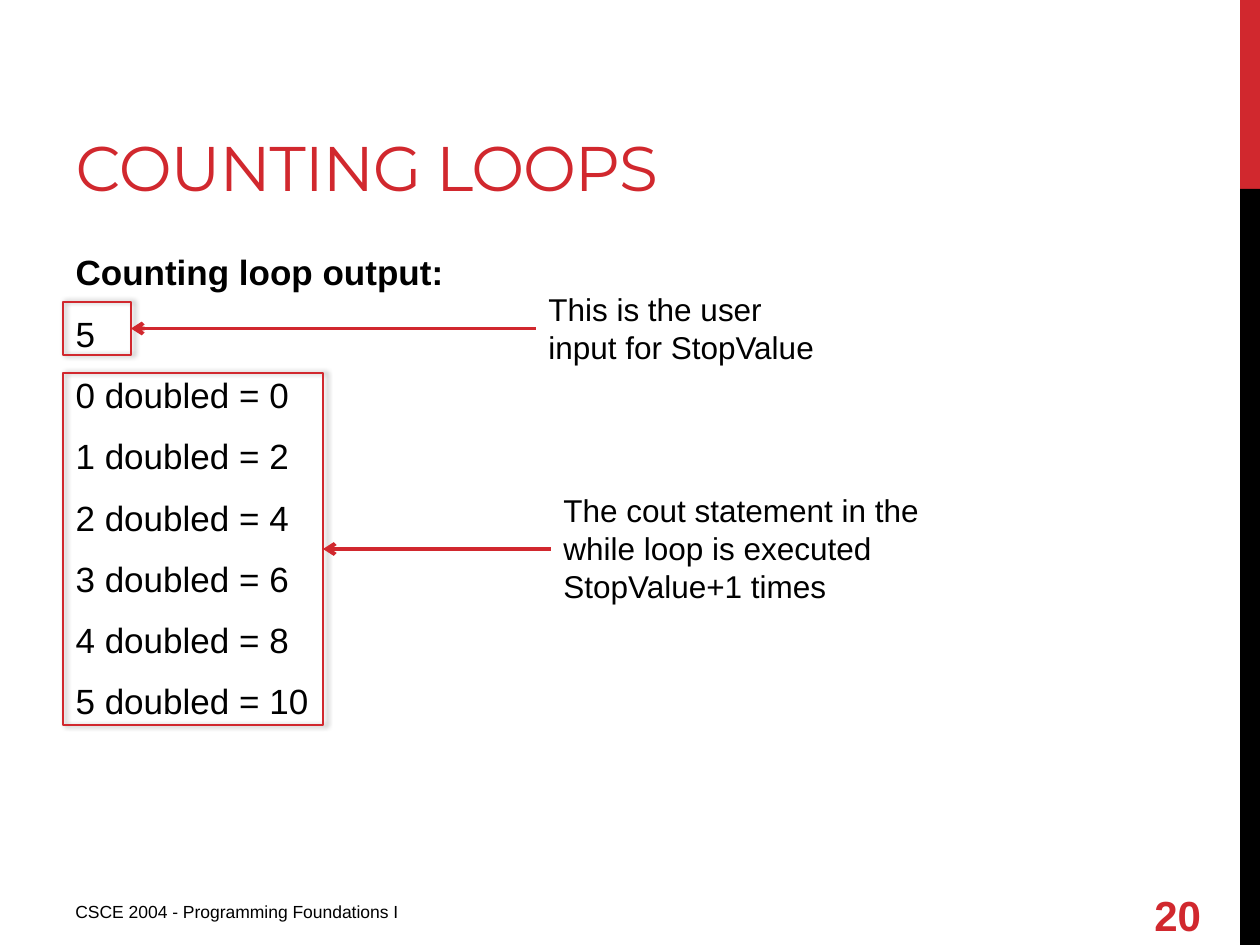
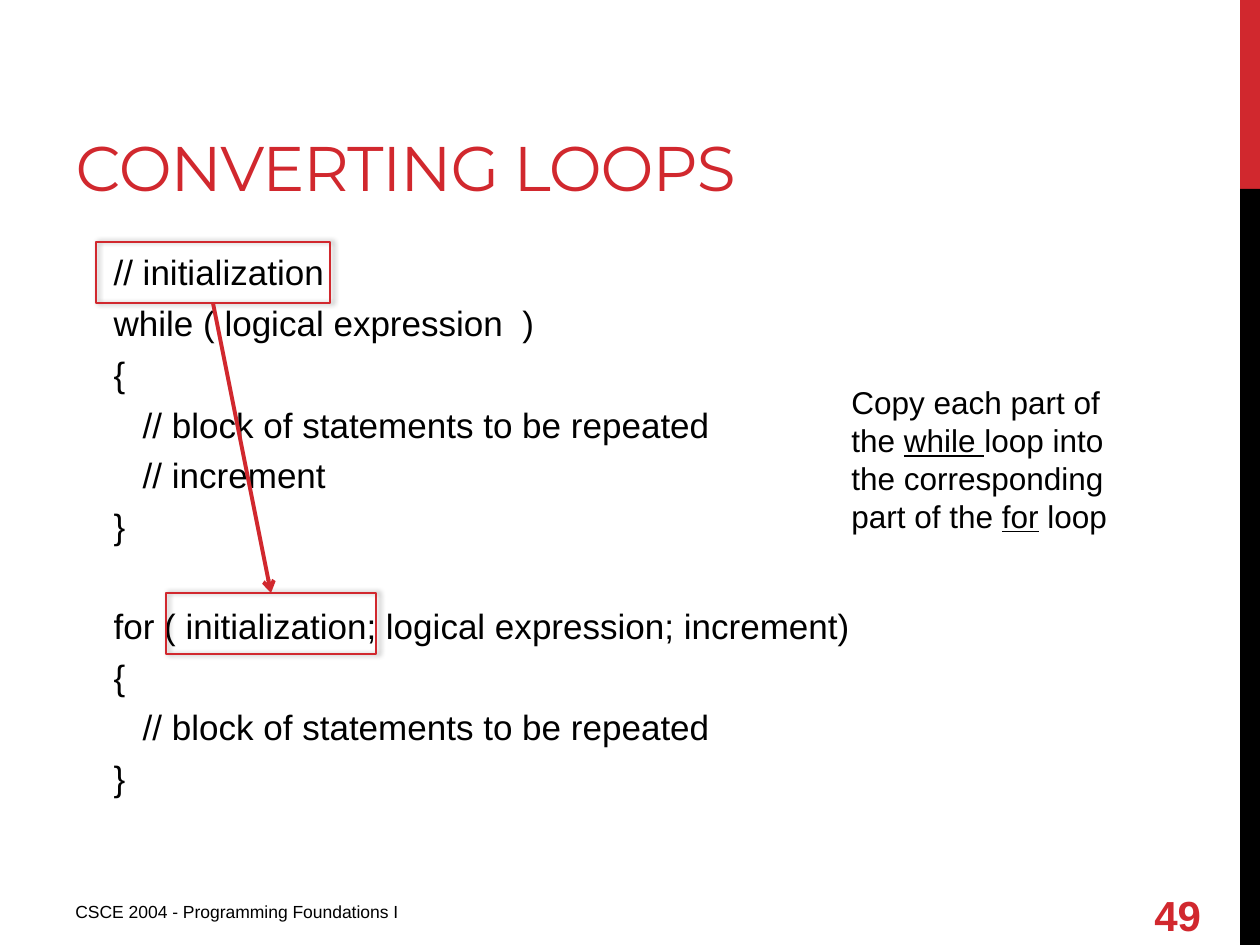
from pptx import Presentation
from pptx.dml.color import RGBColor
from pptx.enum.shapes import MSO_CONNECTOR, MSO_SHAPE
from pptx.enum.text import MSO_ANCHOR, MSO_AUTO_SIZE, PP_ALIGN
from pptx.oxml import parse_xml
from pptx.oxml.ns import nsdecls
from pptx.util import Pt

RECTANGLE = MSO_SHAPE.RECTANGLE
STRAIGHT = MSO_CONNECTOR.STRAIGHT
TOP, MIDDLE, BOTTOM = MSO_ANCHOR.TOP, MSO_ANCHOR.MIDDLE, MSO_ANCHOR.BOTTOM
LEFT = PP_ALIGN.LEFT
NO_FIT, GROW = MSO_AUTO_SIZE.NONE, MSO_AUTO_SIZE.SHAPE_TO_FIT_TEXT

RED, BLACK = "D1282E", "000000"
TEXT_FONT, TITLE_FONT = "Arial", "Montserrat"
EMU_PER_PX = 914400 / 126
SLIDE_WIDTH, SLIDE_HEIGHT = 1260, 945
FOOTER = "CSCE 2004 - Programming Foundations I"

# Boxes are left, top, width, height in px
TITLE_BOX = (63, 21, 798, 189)
BODY_BOX = (63, 242, 1050, 602)
FOOTER_BOX = (63, 895, 472, 39)
NUMBER_BOX = (1142, 890, 93, 50)
BAND_BOX = (1240, 0, 20, SLIDE_HEIGHT)
BAND_SPLIT = 189

LINE_GAP = 5      # points before each body line
BLANK_LINE = 28   # points taken by one skipped code line

OUTPUT_LINES = ["Counting loop output:", "5"] + [
    f"{count} doubled = {2 * count}" for count in range(6)]
WHILE_LOOP = [
    "// initialization",
    "while ( logical expression  )",
    "{",
    "   // block of statements to be repeated",
    "   // increment",
    "}",
]
FOR_LOOP = [
    "for ( initialization; logical expression; increment)",
    "{",
    "   // block of statements to be repeated",
    "}",
]


def px(length):
    return round(length * EMU_PER_PX)


def color(hex_string):
    return RGBColor.from_string(hex_string)


def place(shape, box):
    shape.left, shape.top, shape.width, shape.height = map(px, box)


def add_run(paragraph, text, size, hex_string=BLACK, name=TEXT_FONT,
            bold=False, underline=False):
    run = paragraph.add_run()
    run.text = text
    font = run.font
    font.size, font.name, font.bold = Pt(size), name, bold
    font.underline = underline
    font.color.rgb = color(hex_string)
    return run


def add_text(slide, box, pieces, size, hex_string=BLACK, bold=False,
             anchor=TOP, fit=NO_FIT):
    """Text box of one paragraph; pieces are (text, underlined) pairs."""
    text_box = slide.shapes.add_textbox(*map(px, box))
    frame = text_box.text_frame
    frame.word_wrap, frame.auto_size = True, fit
    frame.vertical_anchor = anchor
    for text, underline in pieces:
        add_run(frame.paragraphs[0], text, size, hex_string,
                bold=bold, underline=underline)


def add_bands(slide, layout, box):
    """Side bands, moved to the layout so that every slide shows them."""
    left, top, width, height = box
    for offset, length, fill in ((0, BAND_SPLIT, RED),
                                 (BAND_SPLIT, height - BAND_SPLIT, BLACK)):
        band = slide.shapes.add_shape(
            RECTANGLE, *map(px, (left, top + offset, width, length)))
        band.shadow.inherit = False
        band.fill.solid()
        band.fill.fore_color.rgb = color(fill)
        band.line.fill.background()
        layout.shapes.element.append(band.element)


def add_title(slide, box, text):
    title = slide.shapes.title
    place(title, box)
    frame = title.text_frame
    frame.auto_size, frame.vertical_anchor = NO_FIT, BOTTOM
    paragraph = frame.paragraphs[0]
    paragraph.alignment = LEFT
    run = add_run(paragraph, text, 36, RED, TITLE_FONT)
    run.font._element.set("spc", "-60")


def add_body_line(frame, text, first=False, before=LINE_GAP, after=0,
                  indent=0, level=0, bold=False):
    paragraph = frame.paragraphs[0] if first else frame.add_paragraph()
    properties = paragraph._p.get_or_add_pPr()
    properties.set("marL", str(px(indent)))
    properties.set("indent", "0")
    properties.append(parse_xml(f"<a:buNone {nsdecls('a')}/>"))
    paragraph.level = level
    paragraph.space_before = Pt(0 if first else before)
    paragraph.space_after = Pt(after)
    add_run(paragraph, text, 20, bold=bold)


def start_body(slide, box):
    body = slide.placeholders[1]
    place(body, box)
    frame = body.text_frame
    frame.auto_size, frame.vertical_anchor = NO_FIT, TOP
    frame.margin_top = px(9)
    return frame


def add_frame(slide, box):
    """Red outline with a soft shadow to its right."""
    outline = slide.shapes.add_shape(RECTANGLE, *map(px, box))
    outline.fill.background()
    outline.line.color.rgb = color(RED)
    outline.line.width = Pt(1)
    outline._element.spPr.append(parse_xml(
        f"<a:effectLst {nsdecls('a')}>"
        f'<a:outerShdw blurRad="{Pt(3.1)}" dist="{Pt(1.8)}" dir="0" rotWithShape="0">'
        f'<a:srgbClr val="{BLACK}"><a:alpha val="40000"/></a:srgbClr>'
        "</a:outerShdw></a:effectLst>"))


def add_arrow(slide, start, end):
    arrow = slide.shapes.add_connector(STRAIGHT, *map(px, start + end))
    arrow.line.color.rgb = color(RED)
    arrow.line.width = Pt(2.25)
    arrow.line._get_or_add_ln().append(
        parse_xml(f'<a:tailEnd {nsdecls("a")} type="arrow"/>'))
    arrow._element.spPr.append(parse_xml(f"<a:effectLst {nsdecls('a')}/>"))


def add_callout(slide, frame_box, note_box, note):
    """Framed output with an arrow from the note at its right."""
    left, top, width, height = frame_box
    middle = top + height / 2
    add_frame(slide, frame_box)
    add_arrow(slide, (note_box[0], middle), (left + width, middle))
    add_text(slide, note_box, [(note, False)], 18, fit=GROW)


def add_link(slide, upper_box, lower_box):
    """Two framed code parts, with an arrow from the upper to the lower."""
    add_frame(slide, upper_box)
    add_frame(slide, lower_box)
    left, top, width, height = upper_box
    add_arrow(slide, (left + width / 2, top + height),
              (lower_box[0] + lower_box[2] / 2, lower_box[1]))


def add_slide(presentation, layout, title, number):
    slide = presentation.slides.add_slide(layout)
    add_title(slide, TITLE_BOX, title)
    add_text(slide, FOOTER_BOX, [(FOOTER, False)], 10)
    add_text(slide, NUMBER_BOX, [(str(number), False)], 24, RED,
             bold=True, anchor=MIDDLE)
    return slide


def fill_counting_slide(slide):
    frame = start_body(slide, BODY_BOX)
    for index, line in enumerate(OUTPUT_LINES):
        heading = index == 0
        add_body_line(frame, line, first=heading, after=6, bold=heading)
    add_callout(slide, (63, 302, 68, 53), (536, 284, 304, 89),
                "This is the user input for StopValue")
    add_callout(slide, (63, 373, 260, 352), (551, 485, 425, 127),
                "The cout statement in the while loop is executed StopValue+1 times")


def fill_converting_slide(slide):
    frame = start_body(slide, BODY_BOX)
    for index, line in enumerate(WHILE_LOOP + FOR_LOOP):
        skipped = BLANK_LINE if index == len(WHILE_LOOP) else 0
        add_body_line(frame, line, first=index == 0, before=LINE_GAP + skipped,
                      indent=38, level=1)
    add_link(slide, (96, 242, 234, 61), (166, 593, 210, 61))
    add_text(slide, (839, 377, 304, 165), [
        ("Copy each part of the ", False),
        ("while ", True),
        ("loop into the corresponding part of the ", False),
        ("for", True),
        (" loop", False),
    ], 18, fit=GROW)


def main():
    presentation = Presentation()
    presentation.slide_width = px(SLIDE_WIDTH)
    presentation.slide_height = px(SLIDE_HEIGHT)
    layout = presentation.slide_layouts[1]

    counting = add_slide(presentation, layout, "COUNTING LOOPS", 20)
    add_bands(counting, layout, BAND_BOX)
    fill_counting_slide(counting)

    converting = add_slide(presentation, layout, "CONVERTING LOOPS", 49)
    fill_converting_slide(converting)

    presentation.save("out.pptx")


if __name__ == "__main__":
    main()
